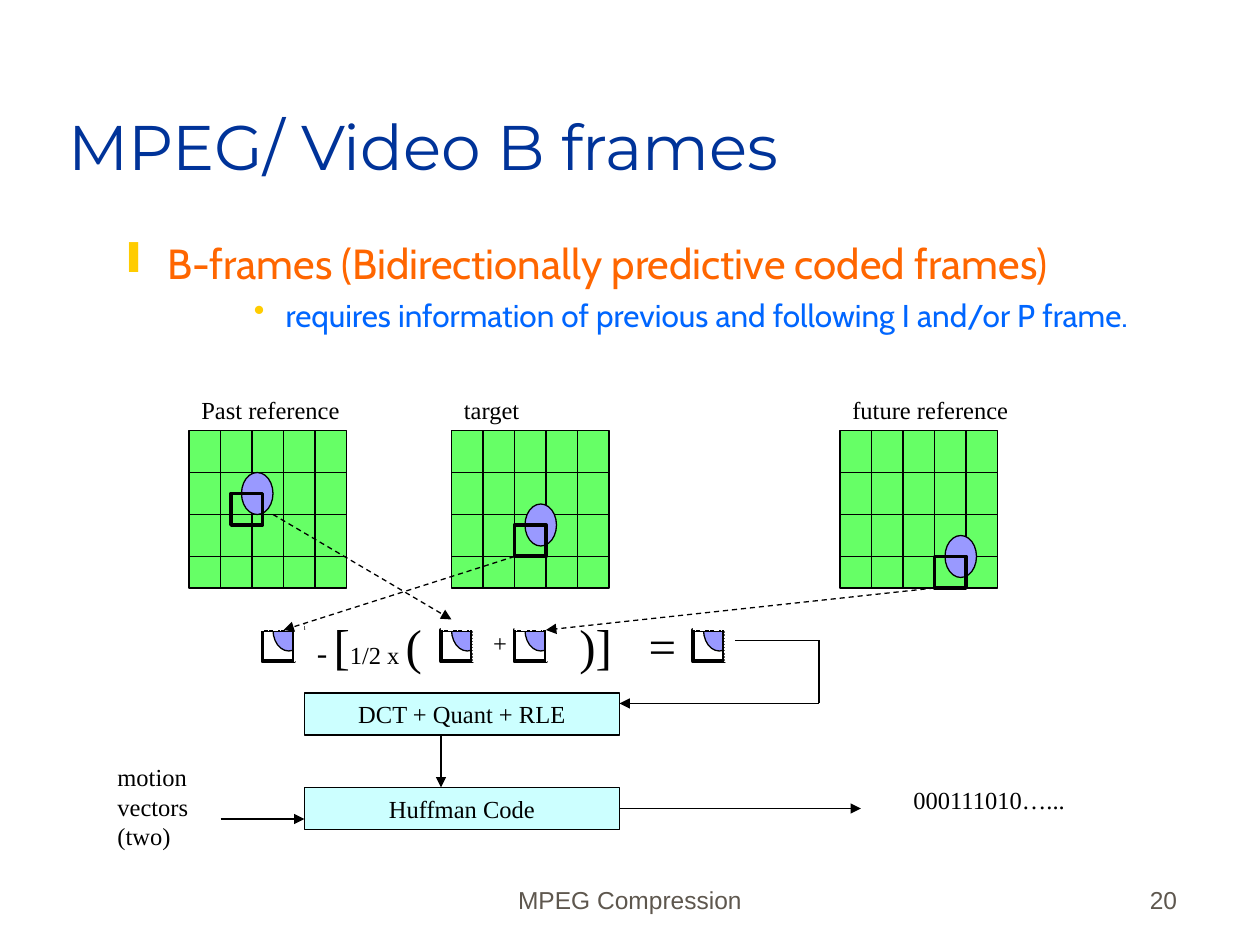
"""Build a slide on how B frames are coded in MPEG video, on a grid of twelfths of an inch."""
from dataclasses import dataclass

from lxml.etree import SubElement
from pptx import Presentation
from pptx.dml.color import RGBColor
from pptx.enum.dml import MSO_LINE
from pptx.enum.shapes import MSO_CONNECTOR, MSO_SHAPE
from pptx.enum.text import MSO_ANCHOR, MSO_AUTO_SIZE, PP_ALIGN
from pptx.oxml.ns import qn
from pptx.util import Cm, Pt


@dataclass(frozen=True)
class Theme:
    """Colours, fonts and type sizes of the slide."""
    title: str = "003399"
    lead: str = "FF6600"
    point: str = "0066FF"
    mark: str = "FFCC00"
    foot: str = "5E574E"
    ink: str = "000000"
    paper: str = "FFFFFF"
    grid: str = "66FF66"
    ball: str = "9999FF"
    step: str = "CCFFFF"
    head: str = "Montserrat"
    body: str = "Cabin"
    serif: str = "Times New Roman"
    sans: str = "Arial"
    huge: int = 36
    big: int = 28
    large: int = 24
    mid: int = 18
    small: int = 14
    thin: float = 0.75
    bold: float = 2.25


T = Theme()

TITLE = "MPEG/ Video B frames"
POINTS = [
    ("B-frames (Bidirectionally predictive coded frames)",
     dict(size=T.large, color=T.lead, bullet="❙", left=2.06, hang=0.79)),
    ("requires information of previous and following I and/or P frame.",
     dict(size=T.mid, color=T.point, bullet="•", left=4.45, hang=0.64, before=4.5)),
]
FRAMES = [
    ("Past reference", 18, 15.6, (23, 45)),
    ("target", 43, 7.7, (50, 48)),
    ("future reference", 80, 17.3, (90, 51)),
]
PIECES = [(25, 24), (42, 42), (49, 49), (66, 66)]
LABELS = [
    ([[("-", T.mid), (" ", T.small), ("[", T.big), ("1/2 x ", T.small), ("(", T.big)]],
     (29, 58, 12.4, 6.8)),
    ([[("+", T.small)]], (45.8, 59.2, 4.3, 4)),
    ([[(")]", T.big)]], (54, 58, 5.5, 6.8)),
    ([[("=", T.big)]], (60.6, 58, 5, 6.8)),
    ([[("motion vectors", T.small)], [("(two)", T.small)]], (10, 72, 16.3, 6.8)),
    ([[("000111010…...", T.small)]], (85.8, 74.2, 17, 4)),
]
STEPS = [("DCT + Quant + RLE", 66), ("Huffman Code", 75)]
PLAIN = [(70, 61, 78, 61), (78, 61, 78, 67)]
ARROWS = [(78, 67, 59, 67), (42, 70, 42, 75), (21, 78, 29, 78)]
DASHED = [(26, 49, 43, 59), (49, 53, 27, 60), (89, 56, 52, 60)]
FOOT = [
    ("MPEG Compression", (41, 81.7, 38, 6), PP_ALIGN.CENTER),
    ("20", (88.3, 81.7, 25, 6), PP_ALIGN.RIGHT),
]

deck = Presentation()
deck.slide_width, deck.slide_height = Cm(25.4), Cm(19.05)
shapes = deck.slides.add_slide(deck.slide_layouts[6]).shapes


def grid(*cells):
    return [Cm(n * 2.54 / 12) for n in cells]


def rgb(code):
    return RGBColor.from_string(code)


def write(frame, text, size=T.small, font=T.serif, color=T.ink, align=None,
          bullet=None, left=0, hang=0, before=None):
    first = frame.paragraphs[0]
    para = frame.add_paragraph() if first.runs else first
    if align is not None:
        para.alignment = align
    if before:
        para.space_before = Pt(before)
    if bullet:
        props = para._p.get_or_add_pPr()
        props.set("marL", str(Cm(left)))
        props.set("indent", str(-Cm(hang)))
        tint = SubElement(props, qn("a:buClr"))
        SubElement(tint, qn("a:srgbClr"), val=T.mark)
        SubElement(props, qn("a:buChar"), char=bullet)
    for part, points in [(text, size)] if isinstance(text, str) else text:
        run = para.add_run()
        run.text = part
        run.font.size, run.font.name = Pt(points), font
        run.font.color.rgb = rgb(color)


def box(at, wrap=True, anchor=MSO_ANCHOR.TOP):
    frame = shapes.add_textbox(*grid(*at)).text_frame
    frame.word_wrap, frame.vertical_anchor = wrap, anchor
    frame.auto_size = MSO_AUTO_SIZE.NONE if wrap else MSO_AUTO_SIZE.SHAPE_TO_FIT_TEXT
    return frame


def draw(kind, at, fill=None, line=T.ink, width=T.thin, dash=None):
    shape = shapes.add_shape(kind, *grid(*at))
    shape.shadow.inherit = False
    if fill:
        shape.fill.solid()
        shape.fill.fore_color.rgb = rgb(fill)
    else:
        shape.fill.background()
    shape.line.color.rgb, shape.line.width = rgb(line), Pt(width)
    if dash:
        shape.line.dash_style = dash
    return shape


def link(ends, arrow=False, dash=None):
    wire = shapes.add_connector(MSO_CONNECTOR.STRAIGHT, *grid(*ends))
    wire.line.color.rgb, wire.line.width = rgb(T.ink), Pt(T.thin)
    if dash:
        wire.line.dash_style = dash
    if arrow:
        SubElement(wire.line._get_or_add_ln(), qn("a:tailEnd"), type="triangle")
    SubElement(wire._element.spPr, qn("a:effectLst"))
    return wire


def block(x, y):
    draw(MSO_SHAPE.OVAL, (x + 1, y - 2, 3, 4), T.ball)
    draw(MSO_SHAPE.RECTANGLE, (x, y, 3, 3), width=T.bold)


write(box((5.3, 3, 102, 15), anchor=MSO_ANCHOR.BOTTOM), TITLE,
      size=T.huge, font=T.head, color=T.title)
body = box((5, 22, 108.4, 58))
for text, form in POINTS:
    write(body, text, font=T.body, **form)

for name, x, wide, (ball, top) in FRAMES:
    draw(MSO_SHAPE.RECTANGLE, (x, 41, 15, 15), T.grid)
    for col in range(3, 15, 3):
        link((x + col, 41, x + col, 56))
    for row in range(4, 15, 4):
        link((x, 41 + row, x + 15, 41 + row))
    block(ball - 1, top + 2)
    write(box((x, 37, wide, 4), wrap=False), name)

for x, lid in PIECES:
    block(x, 60)
    draw(MSO_SHAPE.RECTANGLE, (lid, 57, 5, 3), T.paper, T.paper, 0, MSO_LINE.DASH_DOT)
    draw(MSO_SHAPE.RECTANGLE, (x + 3, 60, 2, 3), T.paper, T.paper, 0.25, MSO_LINE.DASH)

for lines, at in LABELS:
    label = box(at, wrap=False)
    for runs in lines:
        write(label, runs)

for name, y in STEPS:
    step = draw(MSO_SHAPE.RECTANGLE, (29, y, 30, 4), T.step)
    step.text_frame.word_wrap = False
    step.text_frame.vertical_anchor = MSO_ANCHOR.MIDDLE
    write(step.text_frame, name, align=PP_ALIGN.CENTER)

for ends in PLAIN:
    link(ends)
for ends in ARROWS:
    link(ends, arrow=True)
for ends in DASHED:
    link(ends, arrow=True, dash=MSO_LINE.DASH)
link((59, 77, 82, 77), arrow=True).begin_connect(step, 3)

for text, at, align in FOOT:
    write(box(at, anchor=MSO_ANCHOR.BOTTOM), text, font=T.sans, color=T.foot, align=align)

deck.save("out.pptx")
